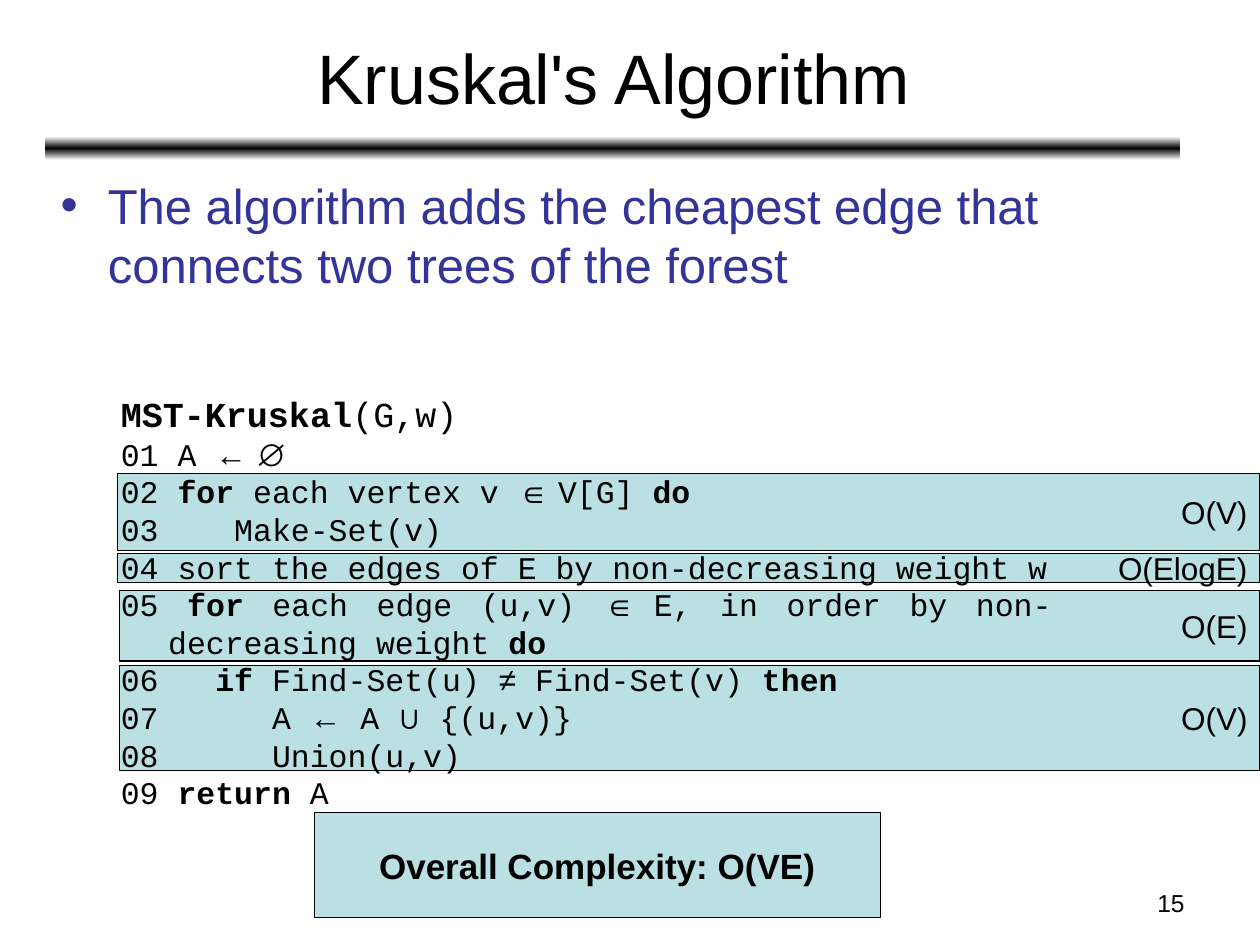
from copy import deepcopy
from pptx import Presentation
from pptx.dml.color import RGBColor
from pptx.enum.shapes import MSO_SHAPE
from pptx.enum.text import MSO_ANCHOR, MSO_AUTO_SIZE, PP_ALIGN
from pptx.oxml import parse_xml
from pptx.oxml.ns import nsdecls
from pptx.util import Pt


def color(code):
    return RGBColor.from_string(code)


def add_run(para, text, size, font="Arial", bold=False, code="000000"):
    run = para.add_run()
    run.text = text
    run.font.size = Pt(size)
    run.font.name = font
    run.font.bold = bold
    run.font.color.rgb = color(code)


deck = Presentation()
deck.slide_width, deck.slide_height = Pt(720), Pt(540)
slide = deck.slides.add_slide(deck.slide_layouts[1])
shapes = slide.shapes

# Title and body
title, body = shapes.title, slide.placeholders[1]
for holder, spot in ((title, (26.6, 8, 648, 71)), (body, (27.4, 96.5, 648, 400))):
    holder.left, holder.top, holder.width, holder.height = map(Pt, spot)
    holder.text_frame.auto_size = MSO_AUTO_SIZE.NONE
title.text_frame.vertical_anchor = MSO_ANCHOR.MIDDLE
para = title.text_frame.paragraphs[0]
para.alignment = PP_ALIGN.CENTER
add_run(para, "Kruskal's Algorithm", 40)

para = body.text_frame.paragraphs[0]
para.space_before = Pt(7)
props = para._p.get_or_add_pPr()
props.set("marL", str(Pt(27)))
props.set("indent", str(Pt(-27)))
props.append(parse_xml(f'<a:buClr {nsdecls("a")}><a:srgbClr val="333399"/></a:buClr>'))
props.append(parse_xml(f'<a:buChar {nsdecls("a")} char="•"/>'))
add_run(para, "The algorithm adds the cheapest edge that connects two trees of the forest",
        28, code="333399")

# Rule under the title
rule = shapes.add_shape(MSO_SHAPE.ROUNDED_RECTANGLE, Pt(25.9), Pt(78), Pt(648.7), Pt(13.5))
rule.shadow.inherit = False
rule.line.fill.background()
rule.fill.gradient()
rule.fill.gradient_angle = 90
stops = rule.fill._fill._gradFill.gsLst
stops.append(deepcopy(stops[0]))
for stop, place, code in zip(rule.fill.gradient_stops, (0, 0.5, 1),
                             ("FFFFFF", "000000", "FFFFFF")):
    stop.position = place
    stop.color.rgb = color(code)

# Cost bands behind the code, and the overall cost
right, mid = PP_ALIGN.RIGHT, PP_ALIGN.CENTER
bands = [
    ("O(V)", 68.4, 380.2, 651.6, 60.3, right, 18, False),
    ("O(E)", 68.4, 337.4, 651.6, 40.3, right, 18, False),
    ("O(ElogE)", 67, 316.5, 653, 16.6, right, 18, False),
    ("O(V)", 67, 270.4, 653, 44.4, right, 18, False),
    ("Overall Complexity: O(VE)", 179.6, 464.3, 323.4, 60.2, mid, 20, True),
]
for text, left, top, width, height, align, size, bold in bands:
    band = shapes.add_shape(MSO_SHAPE.RECTANGLE, Pt(left), Pt(top), Pt(width), Pt(height))
    band.shadow.inherit = False
    band.fill.solid()
    band.fill.fore_color.rgb = color("BBE0E3")
    band.line.color.rgb = color("000000")
    band.line.width = Pt(0.75)
    band.text_frame.word_wrap = True
    band.text_frame.vertical_anchor = MSO_ANCHOR.MIDDLE
    para = band.text_frame.paragraphs[0]
    para.alignment = align
    add_run(para, text, size, bold=bold)

# Code: each run is (style, text), b = bold, s = symbol, n = normal
lines = [
    [("b", "MST-Kruskal"), ("n", "(G,w)")],
    [("n", "01\u00a0A "), ("s", "← ∅")],
    [("n", "02 "), ("b", "for"), ("n", " each vertex v "), ("s", "∈ "),
     ("n", "V[G] "), ("b", "do")],
    [("n", "03    Make-Set(v)")],
    [("n", "04 sort the edges of E by non-decreasing weight w")],
    [("n", "05 "), ("b", "for "), ("n", "each edge (u,v) "), ("s", "∈ "),
     ("n", "E, in order by non-decreasing weight "), ("b", "do")],
    [("n", "06   "), ("b", "if"), ("n", " Find-Set(u) "), ("s", "≠"),
     ("n", " Find-Set(v) "), ("b", "then")],
    [("n", "07      A "), ("s", "←"), ("n", " A "), ("s", "∪"), ("n", " {(u,v)}")],
    [("n", "08      Union(u,v)")],
    [("n", "09 "), ("b", "return"), ("n", " A")],
]
frame = shapes.add_textbox(Pt(62), Pt(221), Pt(546), Pt(246)).text_frame
frame.word_wrap = True
for row, line in enumerate(lines):
    para = frame.add_paragraph() if row else frame.paragraphs[0]
    para.alignment = PP_ALIGN.JUSTIFY
    para.line_spacing = Pt(21.5 if row else 24)
    props = para._p.get_or_add_pPr()
    props.set("marL", str(Pt(27)))
    props.set("indent", str(Pt(-27)))
    for style, text in line:
        add_run(para, text, 18 if row else 20,
                "Arial" if style == "s" else "Courier New", style == "b")

# Slide number
frame = shapes.add_textbox(Pt(516), Pt(504), Pt(168), Pt(25)).text_frame
frame.word_wrap = True
para = frame.paragraphs[0]
para.alignment = PP_ALIGN.RIGHT
add_run(para, "15", 14)

deck.save("out.pptx")
